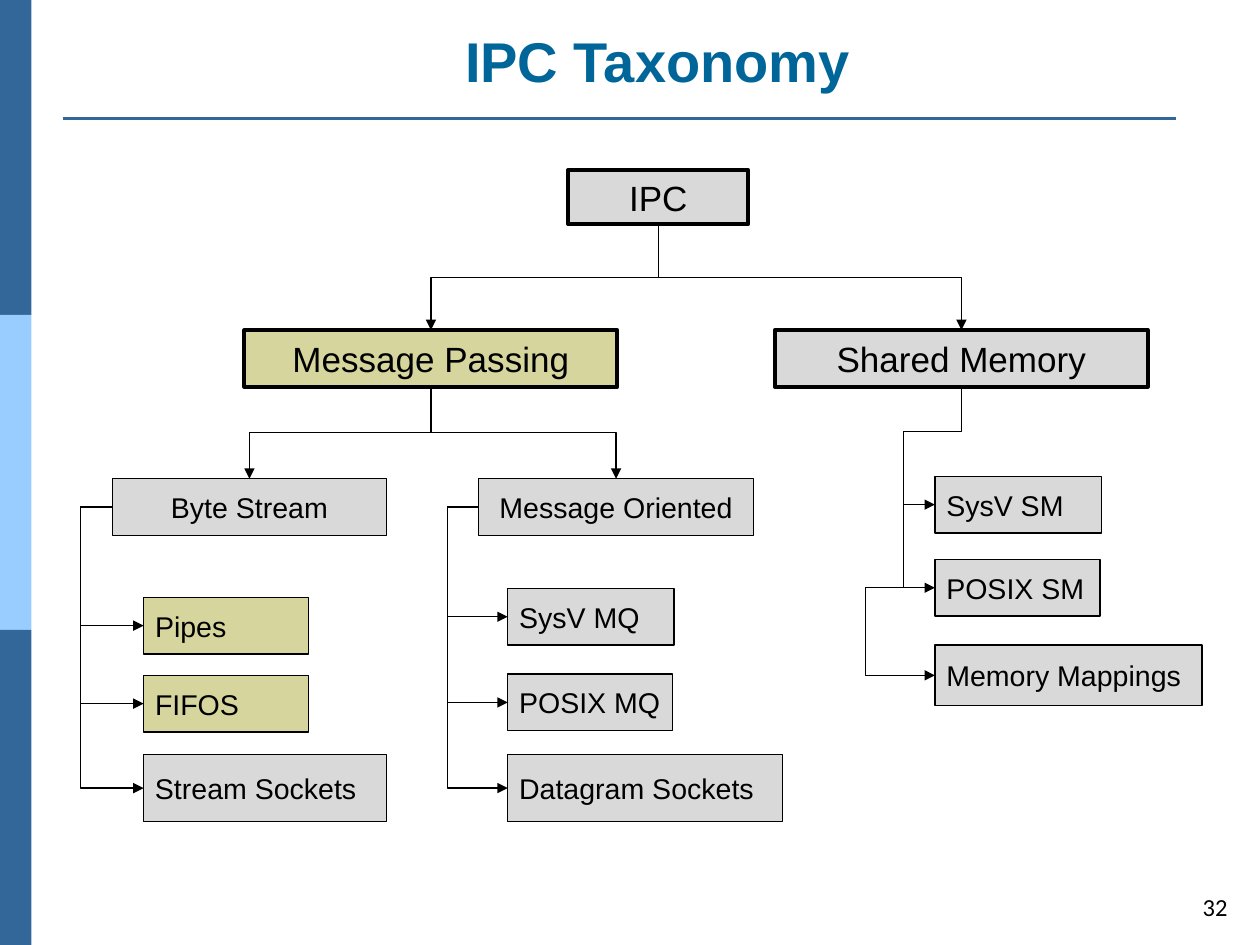
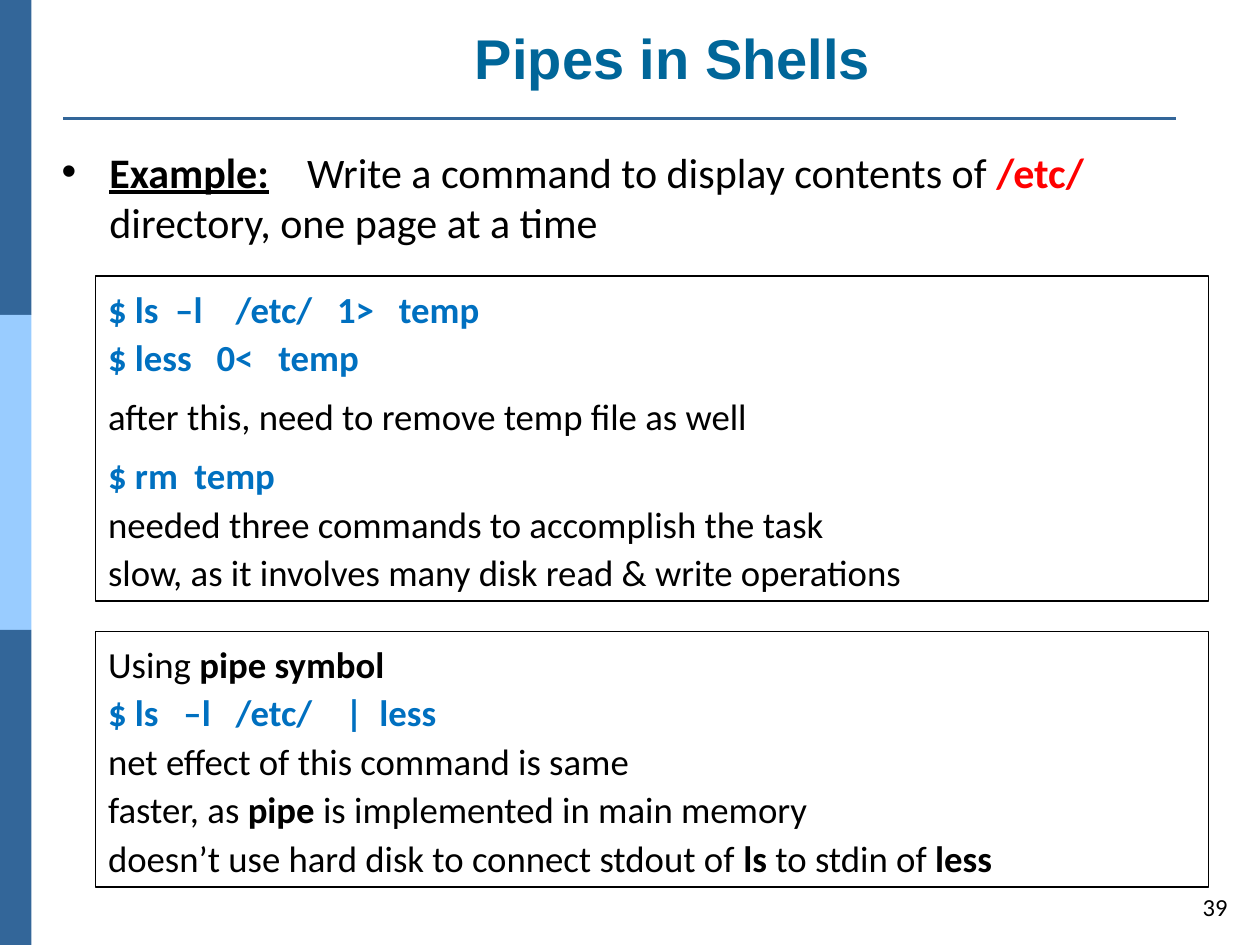
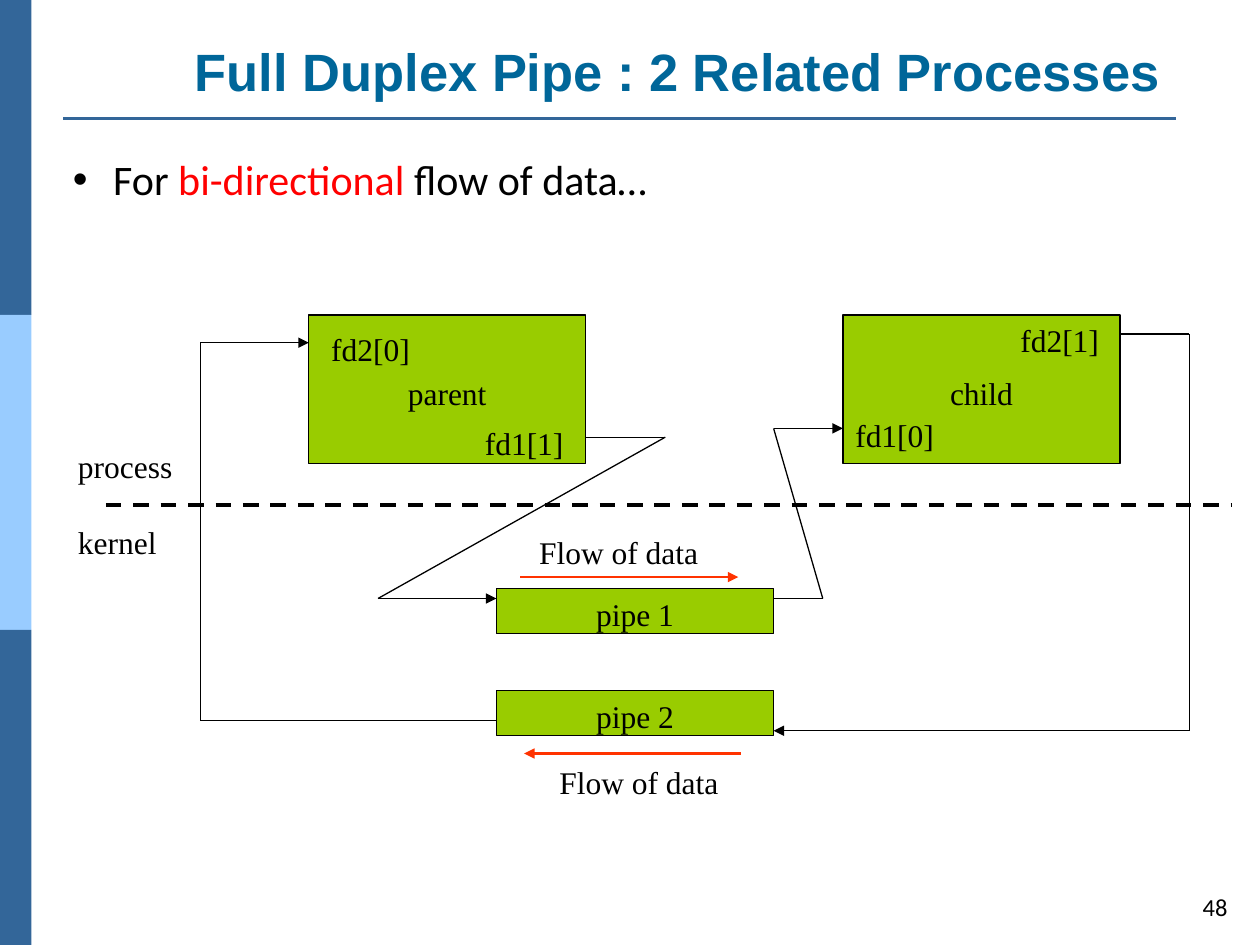
from dataclasses import dataclass
from itertools import pairwise

from lxml import etree
from pptx import Presentation
from pptx.dml.color import RGBColor
from pptx.enum.dml import MSO_LINE
from pptx.enum.shapes import MSO_CONNECTOR, MSO_SHAPE
from pptx.enum.text import MSO_ANCHOR, PP_ALIGN
from pptx.oxml.ns import qn
from pptx.util import Inches, Pt

RECT = MSO_SHAPE.RECTANGLE
STRAIGHT, ELBOW = MSO_CONNECTOR.STRAIGHT, MSO_CONNECTOR.ELBOW
LEFT, CENTER, RIGHT = PP_ALIGN.LEFT, PP_ALIGN.CENTER, PP_ALIGN.RIGHT
TOP, MIDDLE, BOTTOM = MSO_ANCHOR.TOP, MSO_ANCHOR.MIDDLE, MSO_ANCHOR.BOTTOM
DASH = MSO_LINE.DASH

# The slide is a grid of 100 columns by 75 rows
COLS, ROWS = 100, 75
NUDGE = Inches(0.02)


@dataclass(frozen=True)
class Theme:
    # Colours
    black: str = "000000"
    red: str = "FF0000"
    title: str = "006699"
    band: str = "336699"
    band_light: str = "99CCFF"
    grey: str = "D9D9D9"
    khaki: str = "D5D59D"
    green: str = "99CC00"
    command: str = "0070C0"
    flow: str = "FF3300"
    # Fonts
    sans: str = "Arial"
    body: str = "Calibri"
    serif: str = "Times New Roman"
    # Type sizes
    title_pt: float = 32
    long_title_pt: float = 30
    bullet_pt: float = 24
    code_pt: float = 21
    node_pt: float = 20
    leaf_pt: float = 16.3
    label_pt: float = 18
    number_pt: float = 14
    # Line widths
    hair: float = 0
    thin: float = 0.75
    rule: float = 1.5
    thick: float = 2.25


T = Theme()
TITLE = dict(name=T.sans, size=T.title_pt, color=T.title, bold=True)
NODE = dict(name=T.sans, size=T.node_pt)
LEAF = dict(name=T.sans, size=T.leaf_pt)
LABEL = dict(name=T.serif, size=T.label_pt)
BULLET = dict(name=T.body, size=T.bullet_pt)
CODE = dict(name=T.body, size=T.code_pt)
NUMBER = dict(name=T.body, size=T.number_pt)
BOLD = dict(bold=True)
COMMAND = dict(bold=True, color=T.command)
NODE_INSETS = dict(margin_left=Pt(6.5), margin_right=Pt(6.5),
                   margin_top=Pt(3), margin_bottom=Pt(3))


class Deck:
    """Holds the presentation, its style and the current slide."""

    def __init__(self):
        self.prs = Presentation()
        self.prs.slide_width, self.prs.slide_height = Inches(10), Inches(7.5)

    def x(self, col):
        return round(self.prs.slide_width * col / COLS)

    def y(self, row):
        return round(self.prs.slide_height * row / ROWS)

    def area(self, col, row, width, height):
        return self.x(col), self.y(row), self.x(width), self.y(height)

    # Slide frame: bands, rule, title and number
    def slide(self, title, title_area, number, **fmt):
        self.s = self.prs.slides.add_slide(self.prs.slide_layouts[6])
        for i, color in enumerate((T.band, T.band_light, T.band)):
            self.box((0, i * ROWS / 3, 2.5, ROWS / 3), fill=color, line=None)
        self.line((5, 9.4), (93.3, 9.4), T.band, T.rule)
        self.text(title_area, [title], TITLE | fmt, align=CENTER, anchor=BOTTOM)
        self.text((93.9, 69.9, 4.5, 4.1), [str(number)], NUMBER,
                  align=RIGHT, anchor=MIDDLE)

    # Text
    def fill_text(self, sp, paras, font, align=LEFT, anchor=TOP, frame=None,
                  bullet=0, spacing=None, gaps=None):
        tf = sp.text_frame
        frame = dict(word_wrap=True, vertical_anchor=anchor) | (frame or {})
        for key, value in frame.items():
            setattr(tf, key, value)
        for i, para in enumerate(paras):
            p = tf.add_paragraph() if i else tf.paragraphs[0]
            if bullet:
                self.bullet(p, bullet)
            p.alignment = align
            if spacing:
                p.line_spacing = spacing
            if gaps and i in gaps:
                p.space_before = Pt(gaps[i])
            for part in [para] if isinstance(para, (str, tuple)) else para:
                words, fmt = (part, {}) if isinstance(part, str) else part
                self.add_words(p, words, font | fmt)

    def add_words(self, p, words, fmt):
        r = p.add_run()
        r.text = words
        for key, value in ({"color": T.black} | fmt).items():
            if key == "color":
                r.font.color.rgb = RGBColor.from_string(value)
            elif key == "tracking":
                r._r.get_or_add_rPr().set("spc", str(round(value * 100)))
            else:
                setattr(r.font, key, Pt(value) if key == "size" else value)

    def bullet(self, p, indent):
        pPr = p._p.get_or_add_pPr()
        pPr.set("marL", str(self.x(indent)))
        pPr.set("indent", str(-self.x(indent)))
        etree.SubElement(pPr, qn("a:buFont"), typeface=T.sans)
        etree.SubElement(pPr, qn("a:buChar"), char="•")

    def text(self, area, paras, font, **fmt):
        sp = self.s.shapes.add_textbox(*self.area(*area))
        self.fill_text(sp, paras, font, **fmt)

    # Boxes
    def box(self, area, paras=(), font=None, fill=None, line=T.thin, **fmt):
        sp = self.s.shapes.add_shape(RECT, *self.area(*area))
        sp.shadow.inherit = False
        if fill:
            sp.fill.solid()
            sp.fill.fore_color.rgb = RGBColor.from_string(fill)
        else:
            sp.fill.background()
        if line is None:
            sp.line.fill.background()
        else:
            sp.line.color.rgb = RGBColor.from_string(T.black)
            sp.line.width = Pt(line)
        if paras:
            self.fill_text(sp, paras, font, **fmt)
        return sp

    # Lines and arrows
    def connector(self, kind, points, color=T.black, width=T.thin, arrow=False):
        c = self.s.shapes.add_connector(kind, *points)
        c.line.color.rgb = RGBColor.from_string(color)
        c.line.width = Pt(width)
        spPr = c._element.spPr
        if arrow:
            etree.SubElement(spPr.find(qn("a:ln")), qn("a:tailEnd"), type="triangle")
        etree.SubElement(spPr, qn("a:effectLst"))
        return c

    def line(self, start, end, color=T.black, width=T.thin, arrow=False):
        points = (self.x(start[0]), self.y(start[1]), self.x(end[0]), self.y(end[1]))
        return self.connector(STRAIGHT, points, color, width, arrow)

    def route(self, *points):
        for start, end in pairwise(points):
            self.line(start, end, arrow=end == points[-1])

    def bend(self, c, *shares):
        geom = c._element.spPr.find(qn("a:prstGeom"))
        geom.set("prst", f"bentConnector{len(shares) + 2}")
        guides = geom.find(qn("a:avLst"))
        if guides is None:
            guides = etree.SubElement(geom, qn("a:avLst"))
        for i, share in enumerate(shares, 1):
            etree.SubElement(guides, qn("a:gd"), name=f"adj{i}",
                             fmla=f"val {round(share * 100000)}")

    def drop(self, x1, y1, x2, y2, *shares):
        """Elbow that leaves downwards: a sideways elbow, turned."""
        cx, cy = (x1 + x2) // 2, (y1 + y2) // 2
        half_x, half_y = abs(x2 - x1) // 2, (y2 - y1) // 2
        turn, reach = (90, half_y) if x2 < x1 else (270, -half_y)
        c = self.connector(ELBOW, (cx - reach, cy - half_x, cx + reach, cy + half_x),
                           arrow=True)
        c._element.spPr.xfrm.set("rot", str(turn * 60000))
        self.bend(c, *shares)

    def drop_to_top(self, parent, child):
        self.drop(parent.left + parent.width // 2, parent.top + parent.height,
                  child.left + child.width // 2, child.top, 0.5)

    def drop_to_side(self, parent, child, gutter):
        x1, y1 = parent.left + parent.width // 2, parent.top + parent.height
        x2, y2 = child.left, child.top + child.height // 2
        self.drop(x1, y1, x2, y2, 0.38, (x1 - x2 + self.x(gutter)) / (x1 - x2))

    def side(self, parent, child, gutter):
        x1, x2 = parent.left, child.left
        via = x1 - self.x(gutter)
        if x1 == x2:
            x1 -= NUDGE
        c = self.connector(ELBOW, (x1, parent.top + parent.height // 2,
                                   x2, child.top + child.height // 2), arrow=True)
        self.bend(c, (via - x1) / (x2 - x1))


def taxonomy(d):
    d.slide("IPC Taxonomy", (10.7, 2.6, 83, 5.3), 32)

    def node(words, area, fill=T.grey, font=NODE, line=T.thick, align=CENTER):
        return d.box(area, [words], font, fill, line, align=align,
                     anchor=MIDDLE, frame=NODE_INSETS)

    def leaves(col, *rows):
        return [node(words, (col, row, width, height), fill, LEAF, T.hair, LEFT)
                for words, row, width, height, fill in rows]

    # Tree nodes
    ipc = node("IPC", (45.1, 13.5, 14.3, 4.3))
    passing = node("Message Passing", (19.4, 26.2, 29.6, 4.5), T.khaki)
    shared = node("Shared Memory", (61.5, 26.2, 29.6, 4.5))
    stream, oriented = [
        node(words, (col, 38, 21.8, 4.5), font=LEAF, line=T.hair)
        for words, col in (("Byte Stream", 8.9), ("Message Oriented", 38))]

    # Mechanisms
    streams = leaves(11.4, ("Pipes", 47.4, 13.1, 4.5, T.khaki),
                     ("FIFOS", 53.6, 13.1, 4.5, T.khaki),
                     ("Stream Sockets", 59.9, 19.3, 5.3, T.grey))
    queues = leaves(40.3, ("SysV MQ", 46.7, 13.2, 4.5, T.grey),
                    ("POSIX MQ", 53.5, 13.1, 4.5, T.grey),
                    ("Datagram Sockets", 59.9, 21.8, 5.3, T.grey))
    sysv, posix, mappings = leaves(
        74.2, ("SysV SM", 37.8, 13.2, 4.5, T.grey),
        ("POSIX SM", 44.4, 13.1, 4.5, T.grey),
        ("Memory Mappings", 51.2, 21.2, 4.8, T.grey))

    # Branches
    for parent, children in ((ipc, (passing, shared)), (passing, (stream, oriented))):
        for child in children:
            d.drop_to_top(parent, child)
    for parent, children in ((stream, streams), (oriented, queues)):
        for child in children:
            d.side(parent, child, 2.5)
    d.drop_to_side(shared, sysv, 2.5)
    d.side(sysv, posix, 2.5)
    d.side(posix, mappings, 5.5)


def shells(d):
    d.slide("Pipes in Shells", (11.8, 0.7, 83.2, 7), 39)
    task = [("Example:", dict(bold=True, underline=True)),
            (" ", dict(tracking=16.3)),
            "Write a command to display contents of ",
            ("/etc/ ", dict(bold=True, color=T.red)),
            "directory, one page at a time"]
    d.text((3.9, 11.1, 93.4, 10.8), [task], BULLET, bullet=3.8)

    # Temporary file, then pipe
    with_file = [("$ ls  –l    /etc/   1>   temp", COMMAND),
                 ("$ less   0<   temp", COMMAND),
                 "after this, need to remove temp file as well",
                 ("$ rm  temp", COMMAND),
                 "needed three commands to accomplish the task",
                 "slow, as it involves many disk read & write operations"]
    with_pipe = [["Using ", ("pipe symbol", BOLD)],
                 ("$ ls   –l   /etc/    |  less", COMMAND),
                 "net effect of this command is same",
                 ["faster, as ", ("pipe", BOLD), " is implemented in main memory"],
                 ["doesn’t use hard disk to connect stdout of ", ("ls ", BOLD),
                  "to stdin of ", ("less", BOLD)]]
    for row, height, paras, gaps in ((21.9, 25.8, with_file, {2: 6, 3: 6}),
                                     (50.1, 20.3, with_pipe, None)):
        d.box((7.6, row, 88.3, height), paras, CODE, spacing=1.1, gaps=gaps)


def duplex(d):
    d.slide("Full Duplex Pipe : 2 Related Processes", (13.1, 2.3, 81.4, 6.3), 48,
            size=T.long_title_pt)
    d.text((4.8, 10.9, 91.1, 5.8),
           [["For ", ("bi-directional", dict(color=T.red)), " flow of data…"]],
           BULLET, anchor=BOTTOM, bullet=3.2)

    # Processes and pipes
    for words, col in (("parent", 24.5), ("child", 66.9)):
        d.box((col, 25, 22, 11.8), [words], LABEL, T.green, align=CENTER,
              anchor=MIDDLE, frame=dict(margin_top=Pt(7.2)))
    for words, row in (("pipe 1", 46.7), ("pipe 2", 54.8)):
        d.box((39.4, row, 22, 3.6), [words], LABEL, T.green, align=CENTER)

    # Labels
    for words, col, row, width in (
            ("fd1[1]", 37.5, 33.2, 9), ("fd2[0]", 25.3, 25.7, 9),
            ("fd1[0]", 66.9, 32.5, 9), ("fd2[1]", 80, 25, 9),
            ("process", 5.2, 35, 14.9), ("kernel", 5.2, 41, 14.9),
            ("Flow of data", 41.8, 41.8, 14.9), ("Flow of data", 43.4, 60.1, 14.9)):
        d.text((col, row, width, 4), [words], LABEL)

    # Boundary between process and kernel
    d.line((8.4, 40.1), (97.8, 40.1), width=T.thick).line.dash_style = DASH

    # Data paths
    d.route((46.5, 34.7), (52.8, 34.7), (30, 47.5), (39.4, 47.5))
    d.route((61.4, 47.5), (65.3, 47.5), (61.4, 34), (66.9, 34))
    d.route((88.9, 26.5), (94.4, 26.5), (94.4, 58), (61.4, 58))
    d.route((39.4, 57.2), (15.9, 57.2), (15.9, 27.2), (24.5, 27.2))
    d.line((41.3, 45.8), (58.6, 45.8), T.flow, T.rule, arrow=True)
    d.line((58.8, 59.8), (41.6, 59.8), T.flow, T.rule, arrow=True)


def main():
    d = Deck()
    for build in (taxonomy, shells, duplex):
        build(d)
    d.prs.save("out.pptx")


if __name__ == "__main__":
    main()
